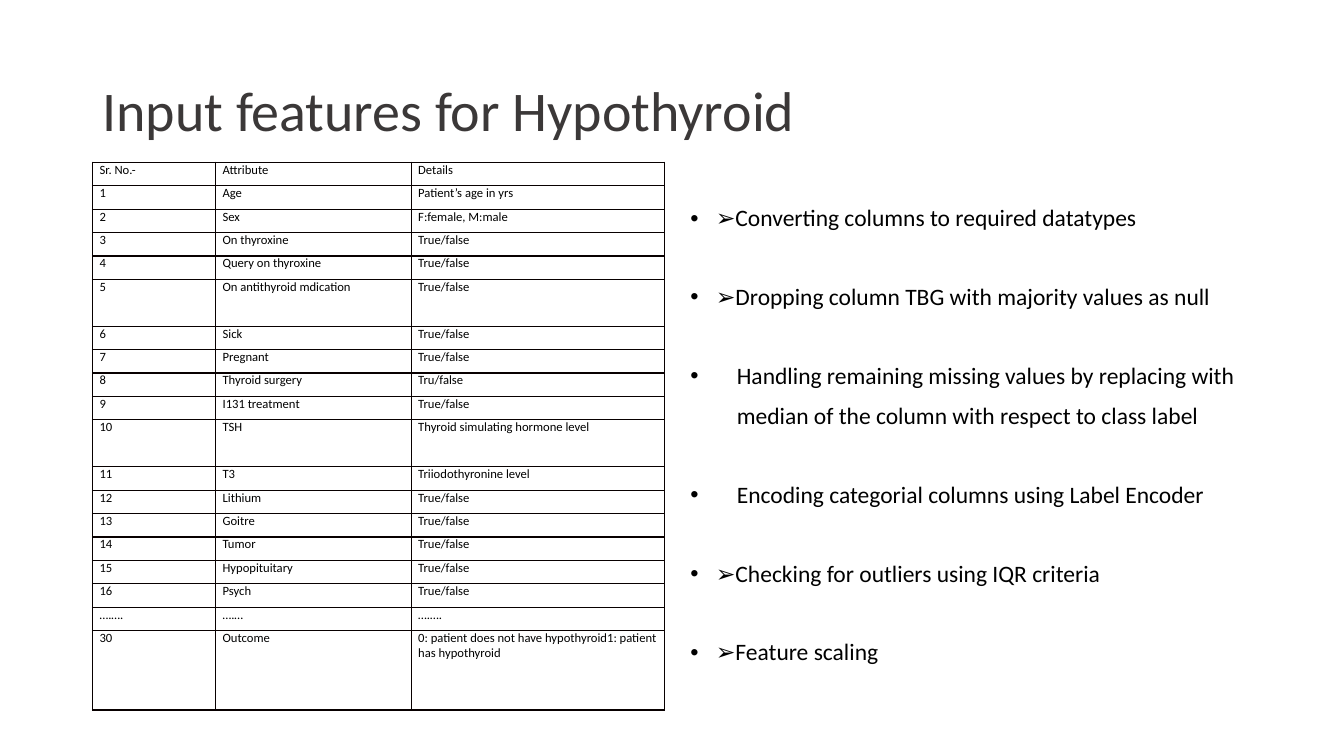
from lxml import etree
from pptx import Presentation
from pptx.dml.color import RGBColor
from pptx.enum.text import MSO_ANCHOR, PP_ALIGN
from pptx.oxml.ns import qn
from pptx.util import Cm, Pt

LEFT, MIDDLE, TOP = PP_ALIGN.LEFT, MSO_ANCHOR.MIDDLE, MSO_ANCHOR.TOP
HUES = {"title": "3B3838", "text": "000000", "line": "080000"}
FACE = "Calibri"


def write(para, text, size, hue, **form):
    """Fill a paragraph with one styled run."""
    for key, value in form.items():
        setattr(para, key, value)
    run = para.add_run()
    run.text = text
    for key, value in {"name": FACE, "size": Pt(size), "bold": False}.items():
        setattr(run.font, key, value)
    run.font.color.rgb = RGBColor.from_string(HUES[hue])


deck = Presentation()
deck.slide_width, deck.slide_height = Cm(33.87), Cm(19.05)
slide = deck.slides.add_slide(deck.slide_layouts[5])

# Title
title = slide.shapes.title
title.left, title.top, title.width, title.height = Cm(2.33), Cm(1.01), Cm(29.21), Cm(3.68)
title.text_frame.vertical_anchor = MIDDLE
write(title.text_frame.paragraphs[0], "Input features for Hypothyroid", 40, "title",
      alignment=LEFT, line_spacing=0.9)

# Steps: text, text indent in cm, bullet, space before in points
NEAR, FAR = 0.64, 1.17
TIGHT, WIDE = 10, 38.2
steps = [
    ("➢Converting columns to required datatypes", NEAR, True, 0),
    ("➢Dropping column TBG with majority values as null", NEAR, True, WIDE),
    ("Handling remaining missing values by replacing with", FAR, True, WIDE),
    ("median of the column with respect to class label", FAR, False, TIGHT),
    ("Encoding categorial columns using Label Encoder", FAR, True, WIDE),
    ("➢Checking for outliers using IQR criteria", NEAR, True, WIDE),
    ("➢Feature scaling", NEAR, True, WIDE),
]
frame = slide.shapes.add_textbox(Cm(17.15), Cm(5.08), Cm(14.4), Cm(12.09)).text_frame
frame.word_wrap = True
for i, (text, indent, bullet, gap) in enumerate(steps):
    para = frame.add_paragraph() if i else frame.paragraphs[0]
    write(para, text, 16.8, "text", alignment=LEFT, line_spacing=0.9, space_before=Pt(gap))
    props = para._p.get_or_add_pPr()
    props.set("marL", str(Cm(indent)))
    props.set("indent", str(-Cm(indent) if bullet else 0))
    if bullet:
        etree.SubElement(props, qn("a:buFont")).set("typeface", "Arial")
        etree.SubElement(props, qn("a:buChar")).set("char", "•")

# Feature table
FLAG = "True/false"
rows = [
    ("Sr. No.-", "Attribute", "Details"),
    ("1", "Age", "Patient’s age in yrs"),
    ("2", "Sex", "F:female, M:male"),
    ("3", "On thyroxine", FLAG),
    ("4", "Query on thyroxine", FLAG),
    ("5", "On antithyroid mdication", FLAG),
    ("6", "Sick", FLAG),
    ("7", "Pregnant", FLAG),
    ("8", "Thyroid surgery", "Tru/false"),
    ("9", "I131 treatment", FLAG),
    ("10", "TSH", "Thyroid simulating hormone level"),
    ("11", "T3", "Triiodothyronine level"),
    ("12", "Lithium", FLAG),
    ("13", "Goitre", FLAG),
    ("14", "Tumor", FLAG),
    ("15", "Hypopituitary", FLAG),
    ("16", "Psych", FLAG),
    ("….….", "….…", "….…."),
    ("30", "Outcome", "0: patient does not have hypothyroid1: patient has hypothyroid"),
]
widths = [3.1, 4.93, 6.38]
tall = {5: 1.18, 10: 1.18, 18: 2}
pads = {"margin_left": Cm(0.18), "margin_right": Cm(0.18), "margin_top": 0,
        "margin_bottom": 0, "vertical_anchor": TOP}
table = slide.shapes.add_table(len(rows), len(widths), Cm(2.33), Cm(4.09),
                               Cm(sum(widths)), Cm(13.8)).table
table.first_row = table.horz_banding = False
for col, width in zip(table.columns, widths):
    col.width = Cm(width)
for r, row in enumerate(rows):
    table.rows[r].height = Cm(tall.get(r, 0.59))
    for c, text in enumerate(row):
        cell = table.cell(r, c)
        for key, value in pads.items():
            setattr(cell, key, value)
        write(cell.text_frame.paragraphs[0], text, 9, "text")
        props = cell._tc.get_or_add_tcPr()
        for side in ("lnL", "lnR", "lnT", "lnB"):
            edge = etree.SubElement(props, qn("a:" + side), w=str(Pt(1)))
            fill = etree.SubElement(edge, qn("a:solidFill"))
            etree.SubElement(fill, qn("a:srgbClr"), val=HUES["line"])
        cell.fill.background()

deck.save("out.pptx")
